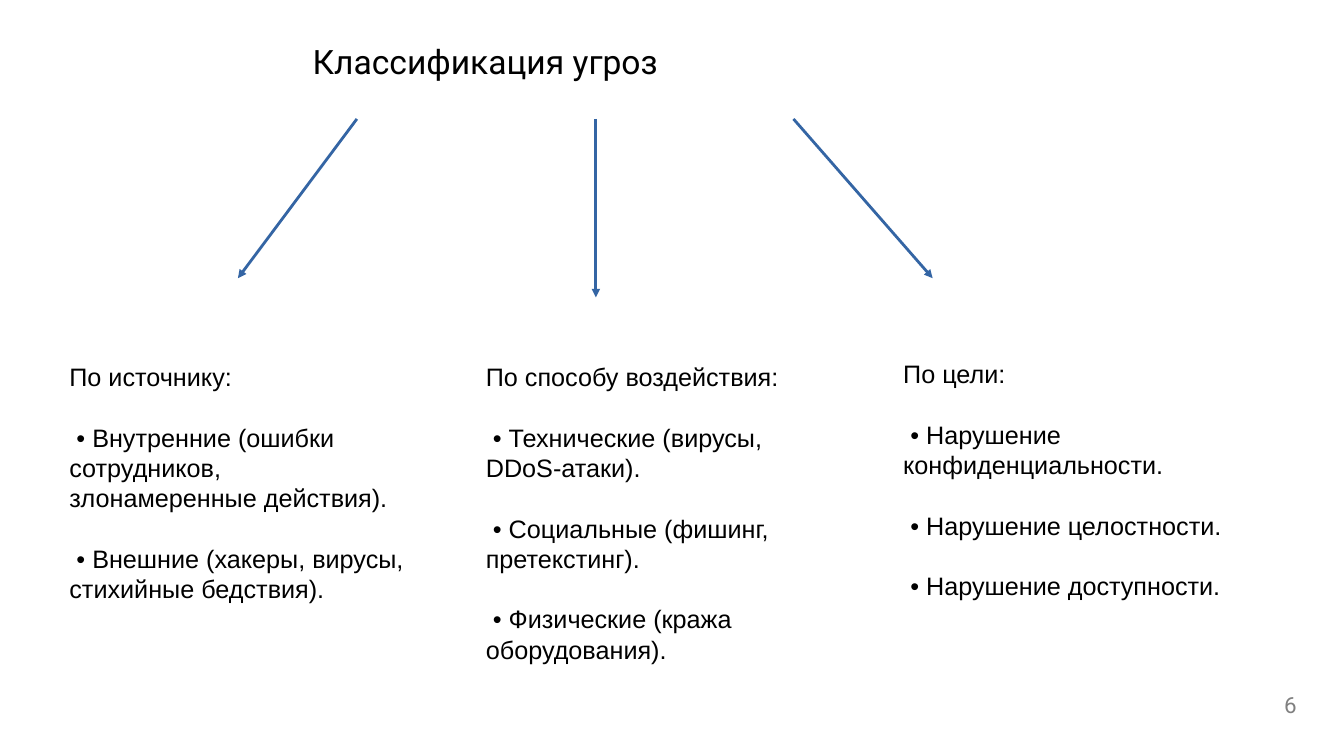
import pptx
import pptx.util
import pptx.dml.color
import pptx.enum.shapes
import pptx.enum.text
import pptx.oxml.ns
import lxml.etree

Inches = pptx.util.Inches
Pt = pptx.util.Pt
ALIGN = pptx.enum.text.PP_ALIGN
ANCHOR = pptx.enum.text.MSO_ANCHOR

LINE_PITCH = Pt(21.6)
BULLET_INDENT = Inches(0.07)

CATEGORIES = [
    ((0.59, 3.54, 3.54, 2.34), "По источнику:", [
        "Внутренние (ошибки сотрудников, злонамеренные действия).",
        "Внешние (хакеры, вирусы, стихийные бедствия).",
    ]),
    ((4.72, 3.54, 3.32, 2.9), "По способу воздействия:", [
        "Технические (вирусы, DDoS‑атаки).",
        "Социальные (фишинг, претекстинг).",
        "Физические (кража оборудования).",
    ]),
    ((8.86, 3.51, 4.02, 2.4), "По цели:", [
        "Нарушение конфиденциальности.",
        "Нарушение целостности.",
        "Нарушение доступности.",
    ]),
]
ARROWS = [
    ((3.54, 1.18), (2.36, 2.76)),
    ((5.91, 1.18), (5.91, 2.95)),
    ((7.87, 1.18), (9.25, 2.76)),
]


def color(value):
    return pptx.dml.color.RGBColor.from_string(value)


def set_attributes(target, values):
    for name, value in values.items():
        setattr(target, name, value)


def write(para, text, font, size, fill, **layout):
    para.text = text
    set_attributes(para, layout)
    set_attributes(para.font, {"name": font, "size": Pt(size), "bold": False})
    para.font.color.rgb = color(fill)


def add_title(slide, box, text):
    title = slide.shapes.title
    left, top, width, height = map(Inches, box)
    set_attributes(title, {"left": left, "top": top, "width": width, "height": height})
    set_attributes(title.text_frame, {
        "margin_left": Inches(2.23),
        "margin_top": Inches(0.05),
        "vertical_anchor": ANCHOR.TOP,
        "word_wrap": True,
        "auto_size": pptx.enum.text.MSO_AUTO_SIZE.NONE,
    })
    write(title.text_frame.paragraphs[0], text, "Roboto", 24, "000000",
          alignment=ALIGN.LEFT, line_spacing=0.9)


def add_page_number(slide, box, text):
    frame = slide.shapes.add_textbox(*map(Inches, box)).text_frame
    set_attributes(frame, {"word_wrap": True, "vertical_anchor": ANCHOR.MIDDLE})
    write(frame.paragraphs[0], text, "Roboto", 16, "808080", alignment=ALIGN.RIGHT)


def add_category(slide, box, heading, threats):
    """Add a heading and its threats; only the first line of a threat is indented."""
    frame = slide.shapes.add_textbox(*map(Inches, box)).text_frame
    frame.word_wrap = True
    write(frame.paragraphs[0], heading, "Arial", 18, "000000", line_spacing=LINE_PITCH)
    for threat in threats:
        para = frame.add_paragraph()
        write(para, f"• {threat}", "Arial", 18, "000000",
              line_spacing=LINE_PITCH, space_before=LINE_PITCH)
        properties = para._p.get_or_add_pPr()
        properties.set("marL", "0")
        properties.set("indent", str(BULLET_INDENT))


def add_arrow(slide, start, end):
    arrow = slide.shapes.add_connector(
        pptx.enum.shapes.MSO_CONNECTOR.STRAIGHT, *map(Inches, start + end))
    arrow.line.color.rgb = color("3465A4")
    arrow.line.width = Pt(0)
    qn = pptx.oxml.ns.qn
    lxml.etree.SubElement(arrow.line._get_or_add_ln(), qn("a:tailEnd"), type="triangle")
    lxml.etree.SubElement(arrow._element.spPr, qn("a:effectLst"))


def main():
    deck = pptx.Presentation()
    set_attributes(deck, {"slide_width": Inches(13.33), "slide_height": Inches(7.5)})
    slide = deck.slides.add_slide(deck.slide_layouts[5])
    add_title(slide, (0.87, 0.4, 11.35, 0.66), "Классификация угроз")
    add_page_number(slide, (9.96, 6.79, 3, 0.4), "6")
    for box, heading, threats in CATEGORIES:
        add_category(slide, box, heading, threats)
    for start, end in ARROWS:
        add_arrow(slide, start, end)
    deck.save("out.pptx")


if __name__ == "__main__":
    main()
